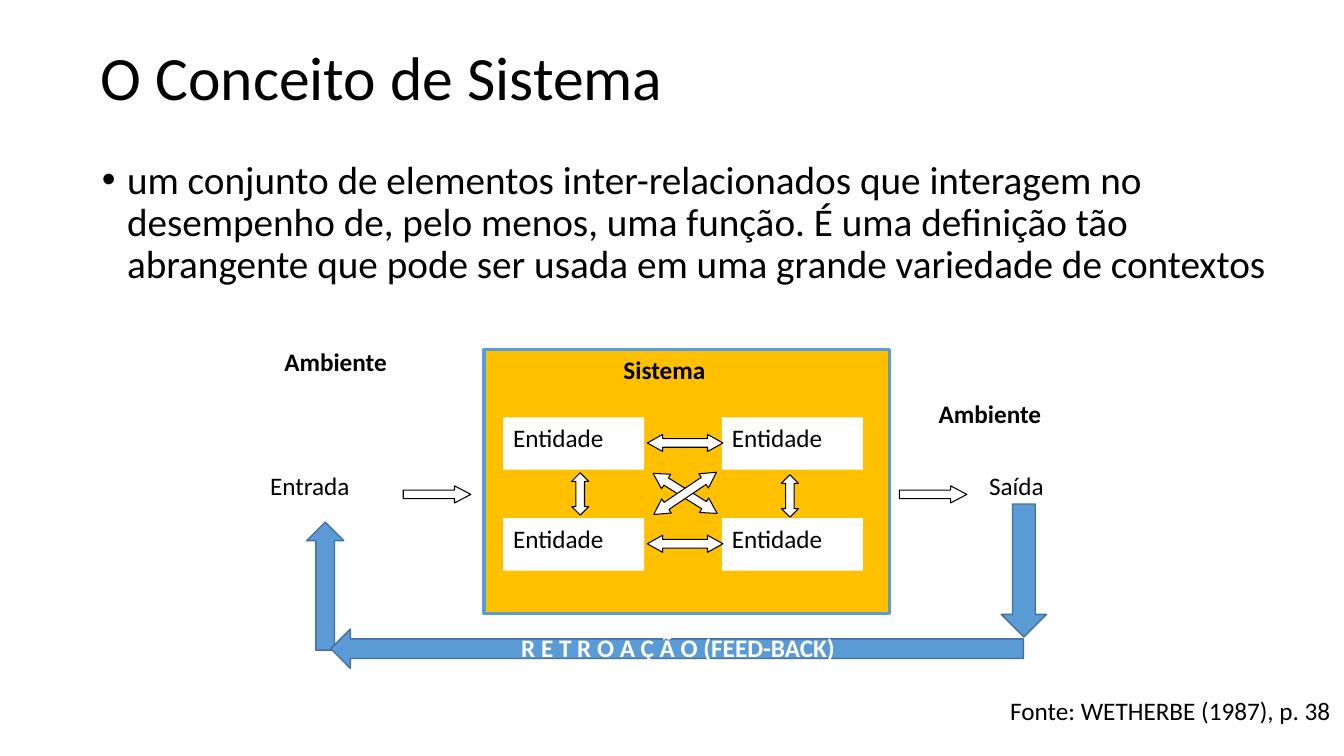
from lxml import etree
from pptx import Presentation
from pptx.dml.color import RGBColor
from pptx.enum import shapes, text as t
from pptx.oxml import ns
from pptx.util import Inches, Pt

BLACK = RGBColor(0x00, 0x00, 0x00)
WHITE = RGBColor(0xFF, 0xFF, 0xFF)
AMBER = RGBColor(0xFF, 0xC0, 0x00)
BLUE = RGBColor(0x5B, 0x9B, 0xD5)
DARK_BLUE = RGBColor(0x41, 0x71, 0x9C)
KIND = shapes.MSO_SHAPE

presentation = Presentation()
presentation.slide_width = Inches(13.33)
presentation.slide_height = Inches(7.5)
slide = presentation.slides.add_slide(presentation.slide_layouts[1])


def write(shape, wording, size=18, bold=False, color=BLACK,
          align=t.PP_ALIGN.LEFT, left=0, top=0.01, right=0):
    """Fill the shape with one paragraph; left, top and right are insets in inches."""
    frame = shape.text_frame
    frame.word_wrap = True
    frame.auto_size = t.MSO_AUTO_SIZE.NONE
    frame.vertical_anchor = t.MSO_ANCHOR.TOP
    frame.margin_left, frame.margin_top = Inches(left), Inches(top)
    frame.margin_right, frame.margin_bottom = Inches(right), 0
    paragraph = frame.paragraphs[0]
    paragraph.alignment = align
    paragraph.space_before = Pt(0)
    run = paragraph.add_run()
    run.text = wording
    run.font.name = "Calibri"
    run.font.size = Pt(size)
    run.font.bold = bold
    run.font.color.rgb = color
    return paragraph


def add_block(kind, left, top, width, height, fill=None, line=None, weight=0.75):
    shape = slide.shapes.add_shape(
        kind, Inches(left), Inches(top), Inches(width), Inches(height))
    shape.shadow.inherit = False
    if fill is None:
        shape.fill.background()
    else:
        shape.fill.solid()
        shape.fill.fore_color.rgb = fill
    if line is None:
        shape.line.fill.background()
    else:
        shape.line.color.rgb = line
        shape.line.width = Pt(weight)
    return shape


# Title and definition
title = slide.shapes.title
title.left, title.top = Inches(1), Inches(0.36)
title.width, title.height = Inches(6.91), Inches(0.76)
write(title, "O Conceito de Sistema", size=44, top=0.03)

body = slide.placeholders[1]
body.left, body.top = Inches(1), Inches(1.51)
body.width, body.height = Inches(11.58), Inches(1.33)
definition = write(
    body,
    "um conjunto de elementos inter-relacionados que interagem no "
    "desempenho de, pelo menos, uma função. É uma definição tão "
    "abrangente que pode ser usada em uma grande variedade de contextos",
    size=28, top=0.08)
definition.line_spacing = Pt(30)
properties = definition._p.get_or_add_pPr()
properties.set("marL", str(Inches(0.26)))
properties.set("indent", str(-Inches(0.25)))
etree.SubElement(properties, ns.qn("a:buChar")).set("char", "•")

# System with its four entities
system = add_block(KIND.RECTANGLE, 4.8, 3.47, 4.02, 2.62, AMBER, BLUE, 2.25)
write(system, "Sistema", bold=True, align=t.PP_ALIGN.CENTER, top=0.04, right=0.44)

for top in (4.14, 5.14):
    for left in (4.99, 7.16):
        entity = add_block(KIND.RECTANGLE, left, top, 1.4, 0.52, WHITE)
        write(entity, "Entidade", left=0.1, top=0.05)
    link = add_block(KIND.LEFT_RIGHT_ARROW, 6.42, top + 0.17, 0.75, 0.17, WHITE, BLACK)
    link.adjustments[1] = 0.9

for left, top in ((5.67, 4.69), (7.75, 4.71)):
    add_block(KIND.UP_DOWN_ARROW, left, top, 0.17, 0.42, WHITE, BLACK)

for angle in (32, -34):
    diagonal = add_block(KIND.LEFT_RIGHT_ARROW, 6.42, 4.81, 0.75, 0.17, WHITE, BLACK)
    diagonal.adjustments[1] = 0.9
    diagonal.rotation = angle

# Input and output flow
for left in (4, 8.92):
    flow = add_block(KIND.RIGHT_ARROW, left, 4.82, 0.67, 0.17, line=BLACK)
    flow.adjustments[1] = 0.95

# Feedback loop
for kind, left, top, width, height in (
    (KIND.DOWN_ARROW, 9.93, 5, 0.45, 1.32),
    (KIND.UP_ARROW, 3.04, 5.18, 0.37, 1.27),
    (KIND.LEFT_ARROW, 3.28, 6.24, 6.87, 0.39),
):
    add_block(kind, left, top, width, height, BLUE, DARK_BLUE, 1)

# Labels
for wording, left, top, width, bold, color in (
    ("Entrada", 2.67, 4.66, 0.9, False, BLACK),
    ("Saída", 9.8, 4.66, 0.65, False, BLACK),
    ("R E T R O A Ç Ã O (FEED-BACK)", 5.16, 6.26, 3.3, True, WHITE),
    ("Fonte: WETHERBE (1987), p. 38", 10.01, 6.89, 3.3, False, BLACK),
    ("Ambiente", 9.3, 3.94, 1.15, True, BLACK),
    ("Ambiente", 2.81, 3.43, 1.15, True, BLACK),
):
    label = slide.shapes.add_textbox(
        Inches(left), Inches(top), Inches(width), Inches(0.33))
    write(label, wording, bold=bold, color=color, left=0.01)

presentation.save("out.pptx")
